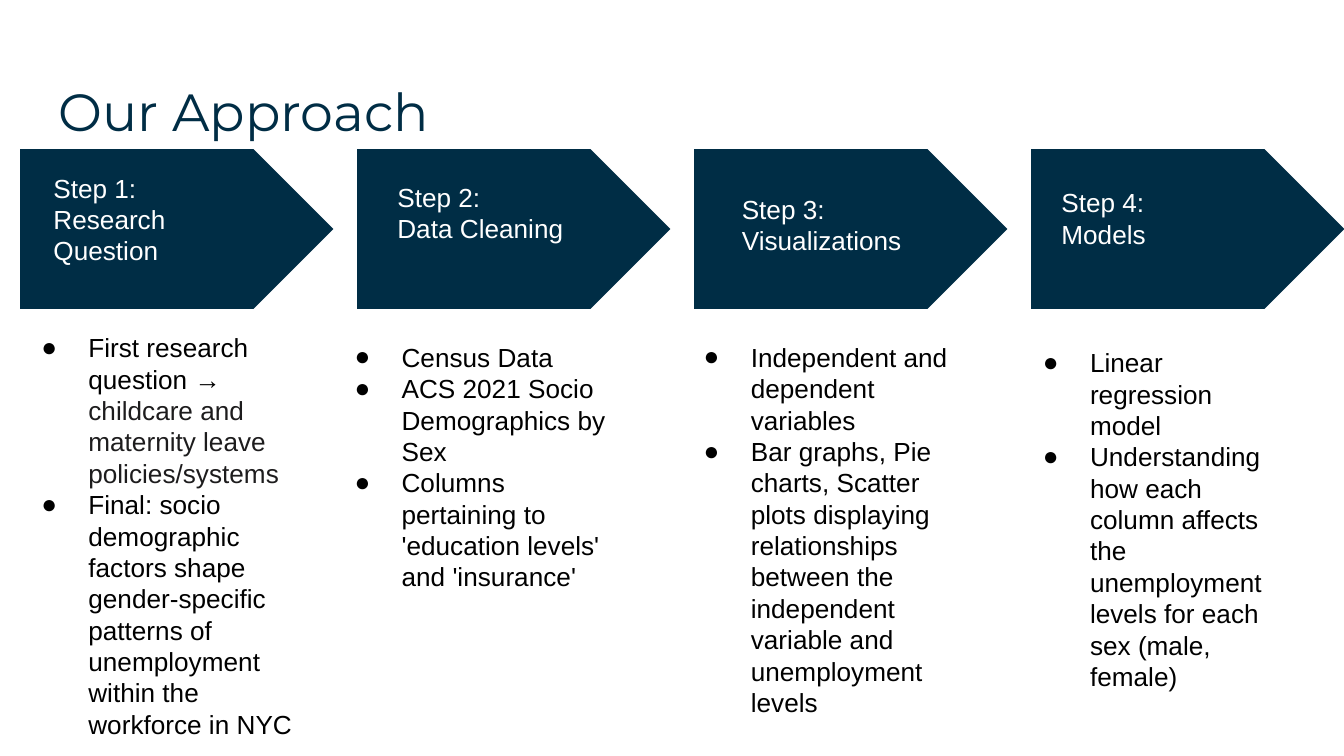
from lxml import etree
from pptx import Presentation
from pptx.dml.color import RGBColor
from pptx.enum.shapes import MSO_SHAPE
from pptx.enum.text import MSO_ANCHOR, MSO_AUTO_SIZE, PP_ALIGN
from pptx.oxml.ns import qn
from pptx.util import Cm, Pt

ARROW = MSO_SHAPE.PENTAGON
TOP = MSO_ANCHOR.TOP
LEFT = PP_ALIGN.LEFT
FIXED = MSO_AUTO_SIZE.NONE

COLORS = {"navy": "002D45", "white": "FFFFFF", "black": "000000", "ink": "1D1C1D"}

# Arrow row: first left edge, step, top, width, height (cm)
START, STEP, ROW, WIDE, HIGH = 0.38, 6.37, 2.82, 5.92, 3.02

# Per step: label lines and box, then list items and box (cm)
STEPS = [
    (["Step 1:", "Research Question"], (0.76, 3, 3.94, 1.85),
     [[("First research question → ", "black"),
       ("childcare and maternity leave policies/systems", "ink")],
      [("Final: socio demographic factors shape gender-specific patterns of "
        "unemployment within the workforce in NYC", "black")]],
     (0.15, 6.02, 5.77, 8.28)),
    (["Step 2:", "Data Cleaning"], (7.26, 3.18, 3.94, 1.85),
     [[("Census Data", "black")],
      [("ACS 2021 Socio Demographics by Sex", "black")],
      [("Columns pertaining to 'education levels' and 'insurance'", "black")]],
     (6.07, 6.2, 5.77, 7.67)),
    (["Step 3:", "Visualizations"], (13.77, 3.4, 3.94, 1.85),
     [[("Independent and dependent variables", "black")],
      [("Bar graphs, Pie charts, Scatter plots displaying relationships between "
        "the independent variable and unemployment levels", "black")]],
     (12.67, 6.2, 5.51, 7.52)),
    (["Step 4:", "Models"], (19.81, 3.28, 4.24, 1.63),
     [[("Linear regression model", "black")],
      [("Understanding how each column affects the unemployment levels for each "
        "sex (male, female)", "black")]],
     (19.08, 6.3, 5.28, 7.26)),
]


def paint(color):
    return RGBColor.from_string(COLORS[color])


def style(font, size, color, name="Arial"):
    font.name, font.size, font.bold = name, Pt(size), False
    font.color.rgb = paint(color)


def place(shape, box):
    shape.left, shape.top, shape.width, shape.height = map(Cm, box)
    frame = shape.text_frame
    frame.word_wrap = True
    frame.auto_size = FIXED
    frame.vertical_anchor = TOP
    frame.margin_left = frame.margin_right = Cm(0.25)
    frame.margin_top = frame.margin_bottom = Cm(0.25)
    return frame


def add_arrow(slide, left):
    arrow = slide.shapes.add_shape(ARROW, Cm(left), Cm(ROW), Cm(WIDE), Cm(HIGH))
    arrow.shadow.inherit = False
    arrow.fill.solid()
    arrow.fill.fore_color.rgb = paint("navy")
    arrow.line.fill.background()


def add_label(slide, lines, box):
    frame = place(slide.shapes.add_textbox(*map(Cm, box)), box)
    frame.text = "\n".join(lines)
    for para in frame.paragraphs:
        style(para.font, 14, "white")


def add_bullet(para):
    props = para._p.get_or_add_pPr()
    props.set("marL", str(Cm(1.27)))
    props.set("indent", str(Cm(-0.89)))
    tint = etree.SubElement(props, qn("a:buClr"))
    etree.SubElement(tint, qn("a:srgbClr"), val=COLORS["black"])
    etree.SubElement(props, qn("a:buFont"), typeface="Arial")
    etree.SubElement(props, qn("a:buChar"), char="●")


def fill_list(holder, items, box):
    frame = place(holder, box)
    for i, parts in enumerate(items):
        para = frame.add_paragraph() if i else frame.paragraphs[0]
        para.space_before = Pt(0)
        add_bullet(para)
        style(para.font, 14, "black")
        for text, color in parts:
            run = para.add_run()
            run.text = text
            if color != "black":
                run.font.color.rgb = paint(color)


def set_title(slide, text):
    frame = place(slide.shapes.title, (0.86, 1.24, 23.67, 1.6))
    frame.text = text
    para = frame.paragraphs[0]
    para.alignment = LEFT
    style(para.font, 28, "navy", "Montserrat")


def main():
    deck = Presentation()
    deck.slide_width, deck.slide_height = Cm(25.4), Cm(14.29)
    # The comparison layout has a title and four body placeholders
    slide = deck.slides.add_slide(deck.slide_layouts[4])
    set_title(slide, "Our Approach")
    bodies = list(slide.placeholders)[1:]

    # One arrow, label and list per step
    for i, (lines, spot, items, box) in enumerate(STEPS):
        add_arrow(slide, START + i * STEP)
        add_label(slide, lines, spot)
        fill_list(bodies[i], items, box)

    deck.save("out.pptx")


if __name__ == "__main__":
    main()
